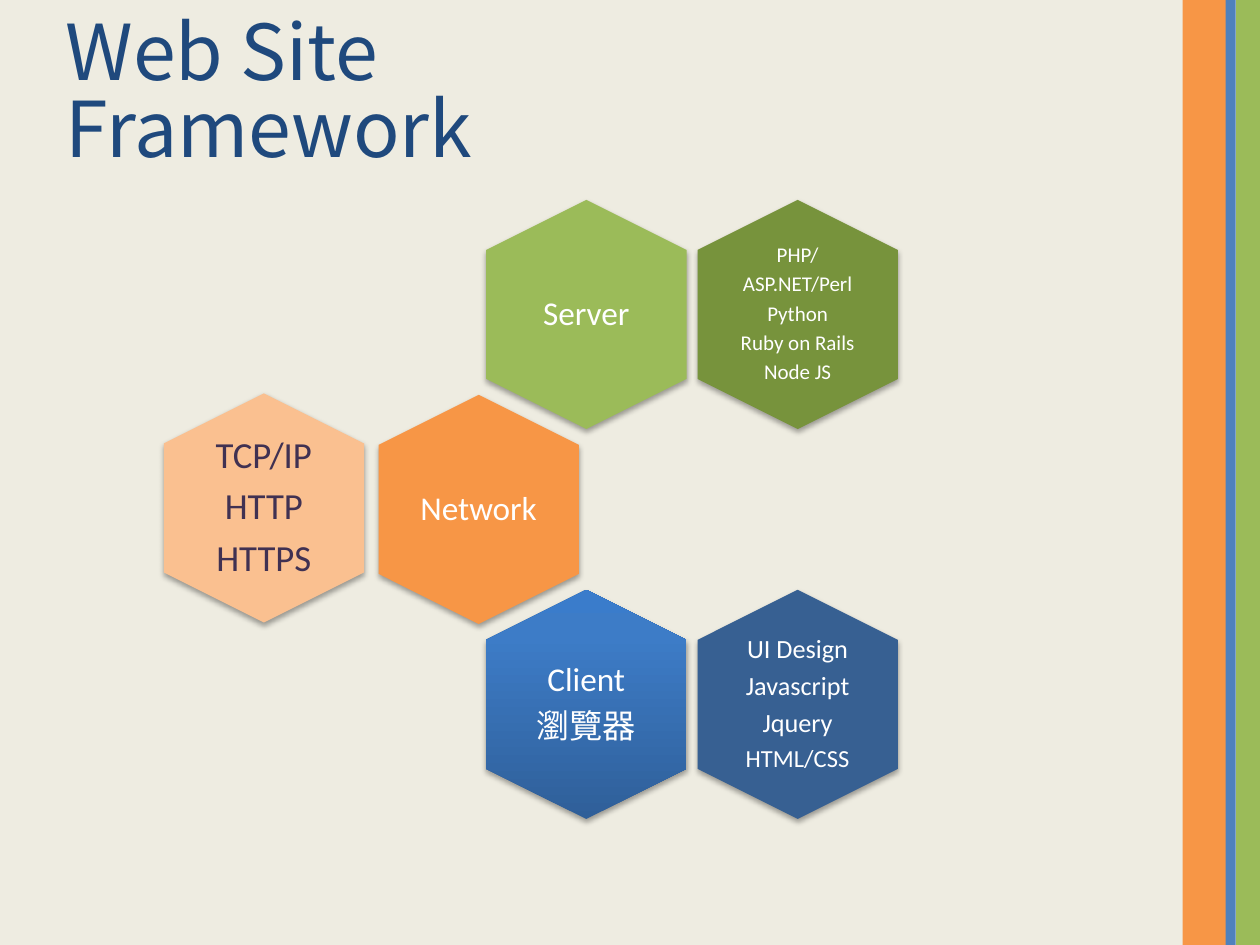
from pptx import Presentation
from pptx.dml.color import RGBColor
from pptx.enum.shapes import MSO_SHAPE
from pptx.enum.text import MSO_ANCHOR, PP_ALIGN
from pptx.oxml import parse_xml
from pptx.oxml.ns import nsdecls, qn
from pptx.util import Cm, Pt

RECTANGLE, HEXAGON = MSO_SHAPE.RECTANGLE, MSO_SHAPE.HEXAGON
MIDDLE = MSO_ANCHOR.MIDDLE
LEFT, CENTER = PP_ALIGN.LEFT, PP_ALIGN.CENTER

THEME = {
    "background": "EEECE1", "title": "1F497D", "white": "FFFFFF", "purple": "403152",
    "orange": "F79646", "peach": "FAC090", "blue": "4F81BD", "navy": "376092",
    "green": "9BBB59", "olive": "77933C",
    "blue fade": [(0, "2F5F99"), (80, "3D7CC7"), (100, "3A7CCB")],
    "title font": "Noto Sans CJK SC", "body font": "Calibri",
    "title size": 44, "name size": 19, "protocol size": 21,
    "server size": 12, "client size": 15, "small client size": 14,
}

# Content
TITLE = "Web Site Framework"
STRIPES = [("orange", 23.84, 0.89), ("green", 24.92, 0.48), ("blue", 24.71, 0.2)]

# Centre x, centre y, fill, text colour, text inset, lines of (text, size)
NAME_INSET = 0.2
CELLS = [
    (11.82, 6.34, "green", "white", NAME_INSET, [("Server", "name size")]),
    (5.32, 10.24, "peach", "purple", 0,
     [(line, "protocol size") for line in ("TCP/IP", "HTTP", "HTTPS")]),
    (9.65, 10.27, "orange", "white", NAME_INSET, [("Network", "name size")]),
    (16.08, 6.34, "olive", "white", 0,
     [(line, "server size") for line in
      ("PHP/", "ASP.NET/Perl", "Python", "Ruby on Rails", "Node JS")]),
    (11.82, 14.2, "blue fade", "white", NAME_INSET,
     [("Client", "name size"), ("瀏覽器", "name size")]),
    (16.08, 14.2, "navy", "white", 0,
     [("UI Design", "client size"), ("Javascript", "client size"),
      ("Jquery", "client size"), ("HTML/CSS", "small client size")]),
]
HEXAGON_SIZE = (4.62, 4.04)
LABEL_SIZE = (2.77, 3.18)


def color(name):
    return RGBColor.from_string(THEME[name])


def centered(x, y, size):
    width, height = size
    return [Cm(v) for v in (x - width / 2, y - height / 2, width, height)]


def add_filled(page, kind, place, fill):
    shape = page.shapes.add_shape(kind, *place)
    shape.shadow.inherit = False
    shape.line.fill.background()
    if isinstance(THEME[fill], list):
        add_gradient(shape, THEME[fill])
    else:
        shape.fill.solid()
        shape.fill.fore_color.rgb = color(fill)
    return shape


def add_gradient(shape, stops):
    shape.fill.gradient()
    properties = shape._element.spPr
    marks = "".join(f'<a:gs pos="{at * 1000}"><a:srgbClr val="{tone}"/></a:gs>'
                    for at, tone in stops)
    properties.replace(properties.find(qn("a:gradFill")), parse_xml(
        f'<a:gradFill rotWithShape="0" {nsdecls("a")}><a:gsLst>{marks}</a:gsLst>'
        '<a:lin ang="16200000" scaled="0"/></a:gradFill>'))


def add_shadow(shape):
    shape._element.spPr.find(qn("a:effectLst")).append(parse_xml(
        f'<a:outerShdw blurRad="40000" dist="23000" dir="5400000" rotWithShape="0" '
        f'{nsdecls("a")}><a:srgbClr val="000000"><a:alpha val="35000"/></a:srgbClr>'
        '</a:outerShdw>'))


def add_text(page, place, lines, font, tone, insets, align, spacing, gap):
    box = page.shapes.add_textbox(*place)
    frame = box.text_frame
    frame.word_wrap = True
    frame.vertical_anchor = MIDDLE
    (frame.margin_left, frame.margin_top,
     frame.margin_right, frame.margin_bottom) = [Cm(inset) for inset in insets]
    for index, (text, size) in enumerate(lines):
        para = frame.add_paragraph() if index else frame.paragraphs[0]
        para.alignment = align
        para.line_spacing = spacing
        para.space_after = Pt(round(THEME[size] * gap, 1))
        span = para.add_run()
        span.text = text
        span.font.name = THEME[font]
        span.font.size = Pt(THEME[size])
        span.font.color.rgb = color(tone)


def main():
    deck = Presentation()
    deck.slide_width, deck.slide_height = Cm(25.4), Cm(19.05)
    page = deck.slides.add_slide(deck.slide_layouts[6])
    page.background.fill.solid()
    page.background.fill.fore_color.rgb = color("background")

    # Stripes down the right edge
    for fill, left, width in STRIPES:
        add_filled(page, RECTANGLE, (Cm(left), 0, Cm(width), deck.slide_height), fill)

    # Title
    add_text(page, [Cm(v) for v in (1.07, 0.64, 15.24, 2.34)], [(TITLE, "title size")],
             "title font", "title", (0.25, 0.38, 0.4, 0.13), LEFT, 0.83, 0)

    # Honeycomb: upright hexagons with a label centred on each
    for x, y, fill, tone, inset, lines in CELLS:
        cell = add_filled(page, HEXAGON, centered(x, y, HEXAGON_SIZE), fill)
        cell.rotation = 90
        cell.adjustments[0] = 0.25
        add_shadow(cell)
        add_text(page, centered(x, y, LABEL_SIZE), lines, "body font", tone,
                 [inset] * 4, CENTER, 0.9, 0.32)

    deck.save("out.pptx")


if __name__ == "__main__":
    main()
